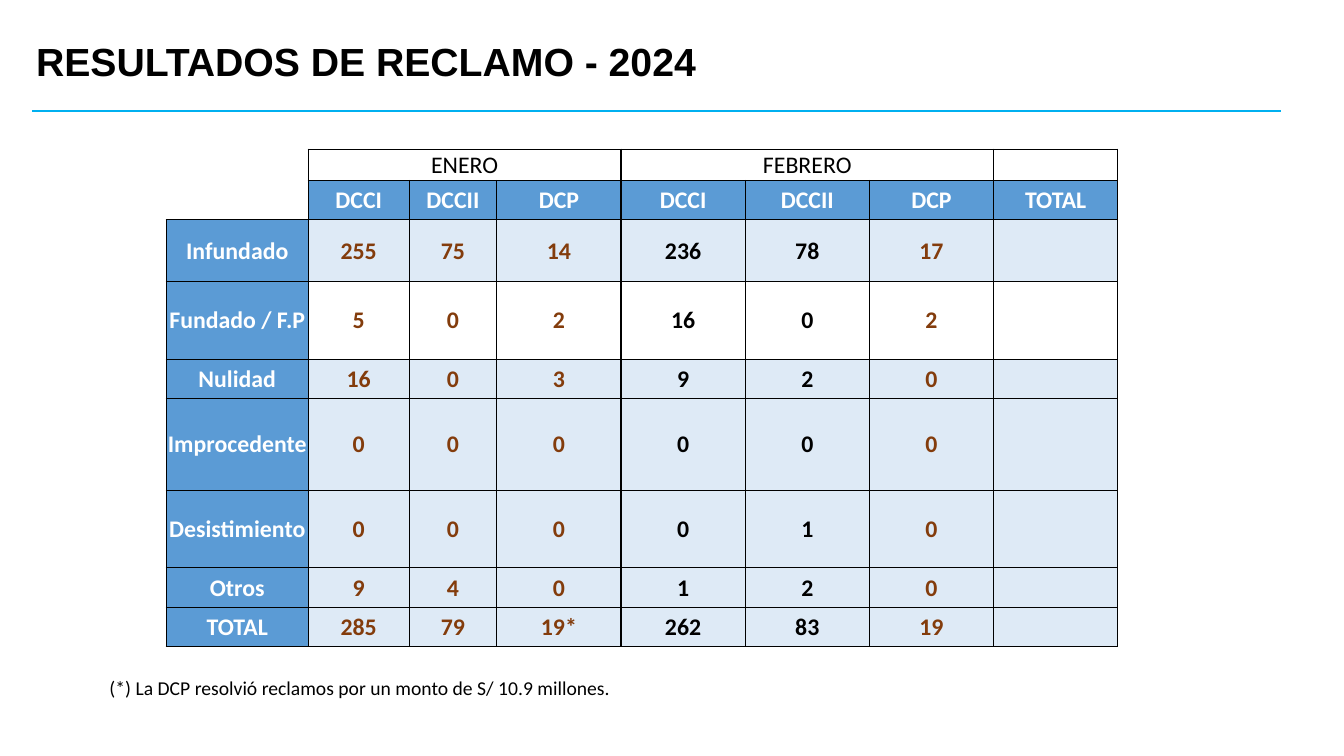
"""Build the slide with the 2024 claim results table."""
from lxml import etree
from pptx import Presentation
from pptx.dml.color import RGBColor
from pptx.enum.shapes import MSO_CONNECTOR
from pptx.enum.text import MSO_ANCHOR, PP_ALIGN
from pptx.oxml.ns import qn
from pptx.util import Cm, Pt

STRAIGHT = MSO_CONNECTOR.STRAIGHT
TOP, MIDDLE = MSO_ANCHOR.TOP, MSO_ANCHOR.MIDDLE
LEFT, CENTER = PP_ALIGN.LEFT, PP_ALIGN.CENTER

BLACK = RGBColor(0x00, 0x00, 0x00)
WHITE = RGBColor(0xFF, 0xFF, 0xFF)
BROWN = RGBColor(0x83, 0x3C, 0x0C)
BLUE = RGBColor(0x5B, 0x9B, 0xD5)
PALE = RGBColor(0xDE, 0xEA, 0xF6)
CYAN = RGBColor(0x00, 0xB0, 0xF0)

TITLE = "RESULTADOS DE RECLAMO - 2024"
NOTE = "(*) La DCP resolvió reclamos por un monto de S/ 10.9 millones."
ROWS = [
    ("", "ENERO", "", "", "FEBRERO", "", "", ""),
    ("", "DCCI", "DCCII", "DCP", "DCCI", "DCCII", "DCP", "TOTAL"),
    ("Infundado", "255", "75", "14", "236", "78", "17", ""),
    ("Fundado / F.P", "5", "0", "2", "16", "0", "2", ""),
    ("Nulidad", "16", "0", "3", "9", "2", "0", ""),
    ("Improcedente", "0", "0", "0", "0", "0", "0", ""),
    ("Desistimiento", "0", "0", "0", "0", "1", "0", ""),
    ("Otros", "9", "4", "0", "1", "2", "0", ""),
    ("TOTAL", "285", "79", "19*", "262", "83", "19", ""),
]
COL_WIDTHS = [3.58, 2.54, 2.21] + [3.13] * 5
ROW_HEIGHTS = [0.79, 0.99, 1.55, 1.96, 0.99, 2.31, 1.96, 0.99, 0.99]
MERGES = [((0, 0), (1, 0)), ((0, 1), (0, 3)), ((0, 4), (0, 6))]
WHITE_ROW = 3
BLACK_COLS = (4, 5)


def add_text(tf, text, size, font, color, bold=False, align=LEFT):
    p = tf.paragraphs[0]
    p.alignment = align
    r = p.add_run()
    r.text = text
    r.font.size, r.font.name, r.font.bold = Pt(size), font, bold
    r.font.color.rgb = color
    return p


def add_box(s, left, top, width, height):
    tf = s.shapes.add_textbox(Cm(left), Cm(top), Cm(width), Cm(height)).text_frame
    tf.word_wrap = True
    tf.vertical_anchor = TOP
    return tf


def set_borders(cell, visible):
    tcPr = cell._tc.get_or_add_tcPr()
    for side in "LRTB":
        ln = etree.SubElement(tcPr, qn(f"a:ln{side}"), w=str(Pt(1)))
        if side in visible:
            fill = etree.SubElement(ln, qn("a:solidFill"))
            etree.SubElement(fill, qn("a:srgbClr"), val=str(BLACK))
        else:
            etree.SubElement(ln, qn("a:noFill"))


def cell_colors(row, col):
    if row == 0 or (row == 1 and col == 0):
        return None, BLACK
    if row == 1 or col == 0:
        return BLUE, WHITE
    fill = WHITE if row == WHITE_ROW else PALE
    return fill, BLACK if col in BLACK_COLS else BROWN


def corner_borders(row):
    return "R" if row == 0 else "RB"


def add_results(s):
    frame = s.shapes.add_table(len(ROWS), len(COL_WIDTHS), Cm(4.19), Cm(3.76),
                               Cm(sum(COL_WIDTHS)), Cm(sum(ROW_HEIGHTS)))
    table = frame.table
    table.first_row = table.horz_banding = False
    for column, width in zip(table.columns, COL_WIDTHS):
        column.width = Cm(width)
    for row, height in zip(table.rows, ROW_HEIGHTS):
        row.height = Cm(height)
    for start, end in MERGES:
        table.cell(*start).merge(table.cell(*end))
    for i, values in enumerate(ROWS):
        for j, value in enumerate(values):
            cell = table.cell(i, j)
            cell.margin_left = cell.margin_right = cell.margin_top = Cm(0.02)
            cell.margin_bottom = 0
            cell.vertical_anchor = MIDDLE
            set_borders(cell, corner_borders(i) if i < 2 and j == 0 else "LRTB")
            fill, color = cell_colors(i, j)
            if fill is None:
                cell.fill.background()
            else:
                cell.fill.solid()
                cell.fill.fore_color.rgb = fill
            if value:
                add_text(cell.text_frame, value, 17, "Calibri", color, i > 0, CENTER)


def main():
    prs = Presentation()
    prs.slide_width, prs.slide_height = Cm(33.87), Cm(19.05)
    s = prs.slides.add_slide(prs.slide_layouts[6])

    rule = s.shapes.add_connector(STRAIGHT, Cm(0.81), Cm(2.79), Cm(32.28), Cm(2.79))
    rule.line.color.rgb = CYAN
    rule.line.width = Pt(1.5)
    etree.SubElement(rule._element.spPr, qn("a:effectLst"))

    title = add_box(s, 0.66, 0.94, 29.21, 2.36)
    add_text(title, TITLE, 28, "Arial", BLACK, True).line_spacing = 0.9
    add_results(s)
    add_text(add_box(s, 2.51, 16.92, 23.98, 0.86), NOTE, 14, "Calibri", BLACK)
    prs.save("out.pptx")


if __name__ == "__main__":
    main()
